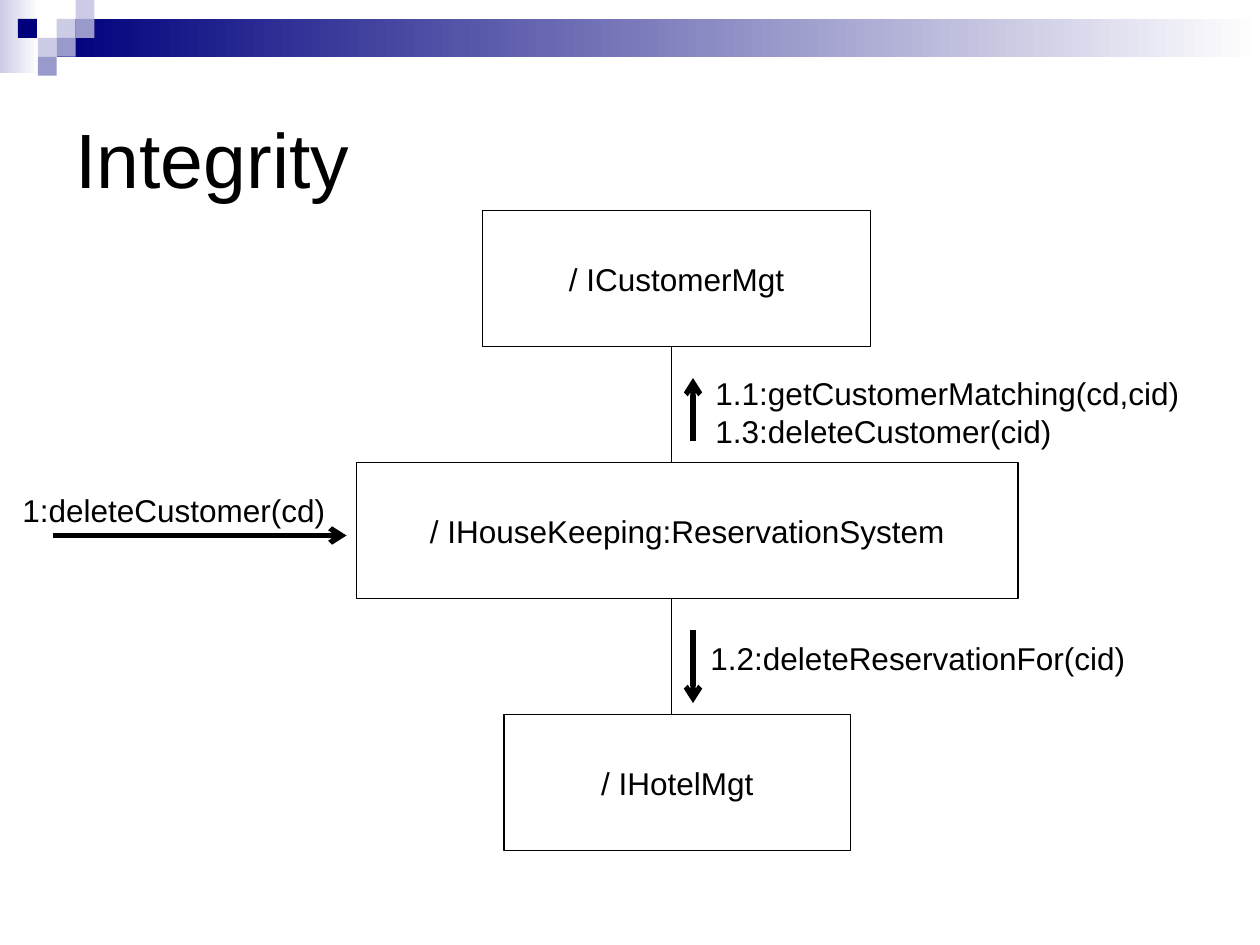
from lxml import etree
from pptx import Presentation
from pptx.dml.color import RGBColor
from pptx.enum import shapes, text
from pptx.oxml import ns
from pptx.util import Inches, Pt

BLACK = RGBColor(0x00, 0x00, 0x00)
WHITE = RGBColor(0xFF, 0xFF, 0xFF)
NAVY = RGBColor(0x00, 0x00, 0x7D)
LILAC = RGBColor(0xCC, 0xCC, 0xE6)
VIOLET = RGBColor(0x99, 0x99, 0xCC)


def add_rect(slide, left, top, width, height):
    """Add a rectangle without shadow, line or fill."""
    sp = slide.shapes.add_shape(shapes.MSO_SHAPE.RECTANGLE, Inches(left),
                                Inches(top), Inches(width), Inches(height))
    sp.shadow.inherit = False
    sp.line.fill.background()
    sp.fill.background()
    return sp


def write(sp, lines, size=18, align=text.PP_ALIGN.LEFT,
          anchor=text.MSO_ANCHOR.TOP, wrap=False):
    """Write one paragraph for each line in black Arial."""
    tf = sp.text_frame
    tf.word_wrap = wrap
    tf.vertical_anchor = anchor
    tf.text = "\n".join(lines)
    for p in tf.paragraphs:
        p.alignment = align
        p.font.name = "Arial"
        p.font.size = Pt(size)
        p.font.color.rgb = BLACK


def add_label(slide, left, top, width, height, lines, **style):
    """Add a text box with the given lines."""
    sp = slide.shapes.add_textbox(Inches(left), Inches(top),
                                  Inches(width), Inches(height))
    write(sp, lines, **style)


def add_line(slide, start, end, weight=0.75, arrow=False):
    """Add a straight black line, with an open arrowhead at its end if asked."""
    points = [Inches(v) for v in (*start, *end)]
    line = slide.shapes.add_connector(shapes.MSO_CONNECTOR.STRAIGHT, *points)
    line.line.color.rgb = BLACK
    line.line.width = Pt(weight)
    props = line.element.spPr
    if arrow:
        etree.SubElement(props.find(ns.qn("a:ln")), ns.qn("a:tailEnd"), type="arrow")
    etree.SubElement(props, ns.qn("a:effectLst"))


def add_fade(slide, left, top, width, height, color):
    """Add a rectangle that fades from a colour to white, left to right."""
    fill = add_rect(slide, left, top, width, height).fill
    fill.gradient()
    fill.gradient_angle = 0
    for stop, rgb in zip(fill.gradient_stops, (color, WHITE)):
        stop.color.rgb = rgb


def add_banner(slide, left, top, width, cell=0.15):
    """Add the faded bands and the mosaic of squares along the top."""
    add_fade(slide, left, top, 0.31, 0.58, LILAC)
    add_fade(slide, left + 3 * cell, top + cell, width - 3 * cell, 2 * cell, NAVY)
    mosaic = [(3, 1, LILAC), (4, 0, LILAC), (4, 1, VIOLET), (2, 2, LILAC),
              (0.95, 1, NAVY), (3, 2, VIOLET), (2, 3, VIOLET)]
    for col, row, color in mosaic:
        sp = add_rect(slide, left + col * cell, top + row * cell, cell, cell)
        sp.fill.solid()
        sp.fill.fore_color.rgb = color


def add_collaboration(slide, left, top):
    """Add the three linked objects and the messages sent between them."""
    height, step = 1.08, 2
    objects = [("/ ICustomerMgt", 3.75, 3.08),
               ("/ IHouseKeeping:ReservationSystem", 2.75, 5.25),
               ("/ IHotelMgt", 3.92, 2.75)]
    for i, (name, x, width) in enumerate(objects):
        y = top + i * step
        sp = add_rect(slide, left + x, y, width, height)
        sp.line.color.rgb = BLACK
        sp.line.width = Pt(0.75)
        write(sp, [name], align=text.PP_ALIGN.CENTER, anchor=text.MSO_ANCHOR.MIDDLE)
        if i:
            add_line(slide, (left + 5.25, y), (left + 5.25, y - step + height))

    messages = [
        (5.5, 1.25, 3.95, 0.7, ["1.1:getCustomerMatching(cd,cid)",
                                "1.3:deleteCustomer(cid)"]),
        (0, 2.18, 2.7, 0.4, ["1:deleteCustomer(cd)"]),
        (5.46, 3.35, 3.55, 0.4, ["1.2:deleteReservationFor(cid)"]),
    ]
    for x, y, width, box_height, lines in messages:
        add_label(slide, left + x, top + y, width, box_height, lines)

    arrows = [((5.42, 1.83), (5.42, 1.33)),
              ((0.34, 2.58), (2.67, 2.58)),
              ((5.42, 3.33), (5.42, 3.91))]
    for ends in arrows:
        start, end = [(left + x, top + y) for x, y in ends]
        add_line(slide, start, end, weight=3, arrow=True)


def main():
    """Build the slide and save it."""
    prs = Presentation()
    prs.slide_width, prs.slide_height = Inches(10), Inches(7.5)
    slide = prs.slides.add_slide(prs.slide_layouts[6])
    add_banner(slide, 0, 0, 10)
    add_label(slide, 0.5, 0.5, 9, 1.5, ["Integrity"], size=44,
              anchor=text.MSO_ANCHOR.MIDDLE, wrap=True)
    add_collaboration(slide, 0.08, 1.67)
    prs.save("out.pptx")


if __name__ == "__main__":
    main()
